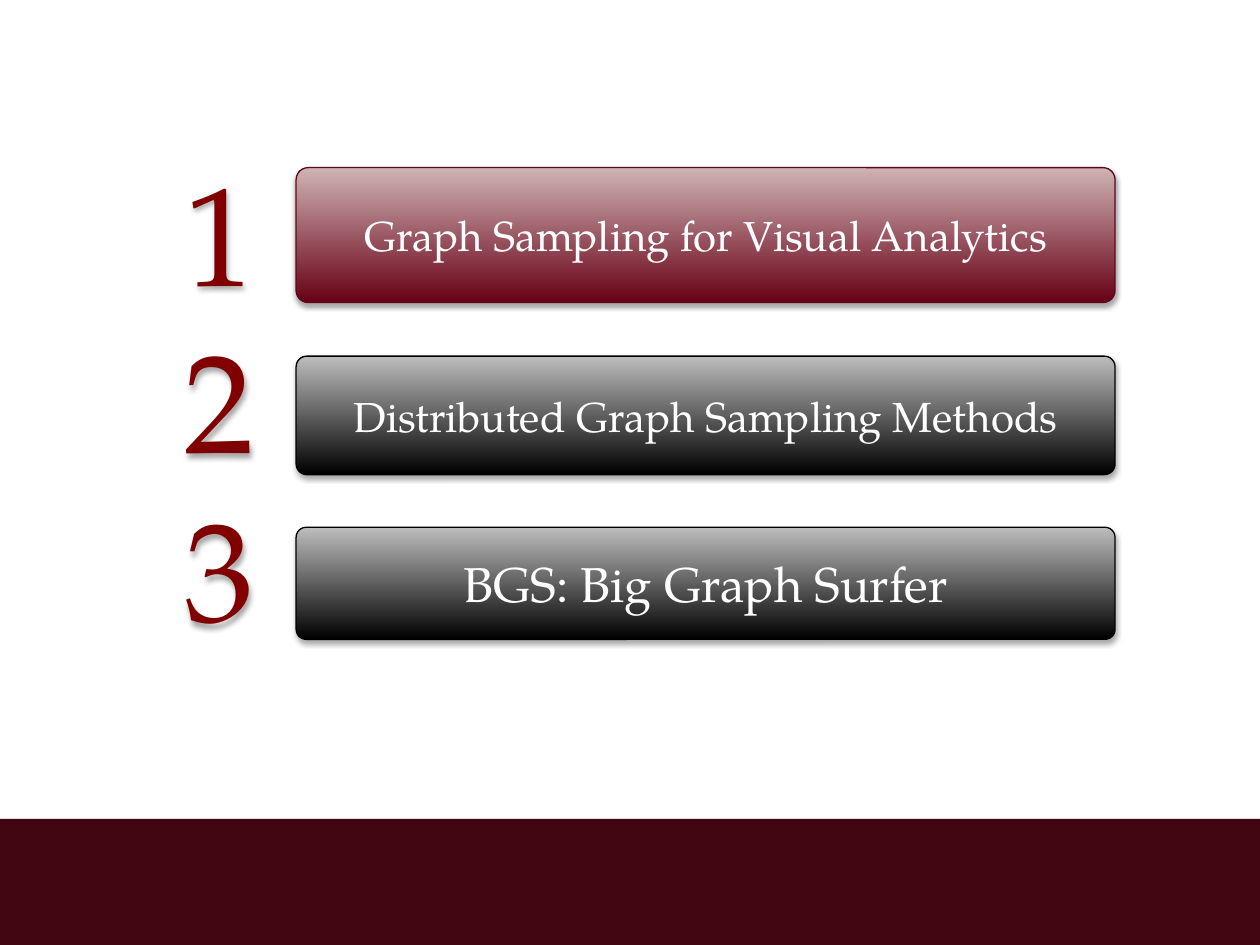
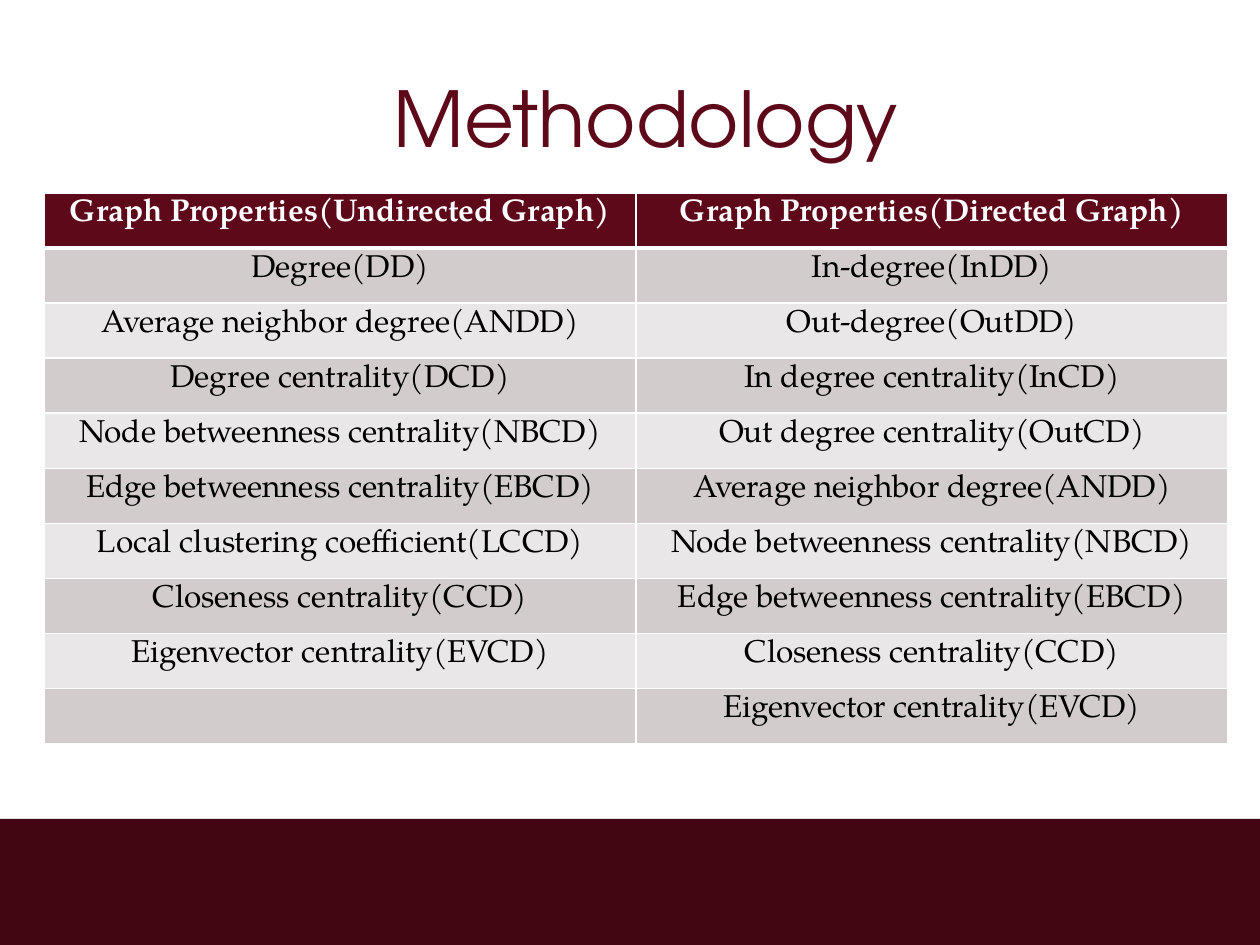
from itertools import zip_longest
from typing import NamedTuple

from lxml import etree
from pptx import Presentation
from pptx import util as u
from pptx.dml.color import RGBColor
from pptx.enum import shapes, text
from pptx.oxml import ns

WHITE = RGBColor(0xFF, 0xFF, 0xFF)
BLACK = RGBColor(0, 0, 0)
BAND = RGBColor(0x41, 0x06, 0x11)
MAROON = RGBColor(0x5E, 0x09, 0x1A)
NUMBER_RED = RGBColor(0x80, 0, 0)
RED_BASE = RGBColor(0x67, 0x00, 0x15)
RED_TOP = RGBColor(0xCF, 0xB3, 0xB4)
RED_EDGE = RGBColor(0x5E, 0x07, 0x18)
GREY_TOP = RGBColor(0xBD, 0xBD, 0xBD)
ROW_FILLS = (RGBColor(0xD2, 0xCC, 0xCD), RGBColor(0xEA, 0xE7, 0xE8))

HEAD_FONT = "TeX Gyre Adventor"
BODY_FONT = "TeX Gyre Pagella"
SLIDE_W, SLIDE_H = u.Cm(25.4), u.Cm(19.05)
BAND_H = u.Cm(2.54)
CENTER = text.PP_ALIGN.CENTER


class Style(NamedTuple):
    base: RGBColor
    top: RGBColor
    edge: RGBColor


class Topic(NamedTuple):
    label: str
    y: float
    height: float
    size: int
    style: Style


ACTIVE = Style(RED_BASE, RED_TOP, RED_EDGE)
INACTIVE = Style(BLACK, GREY_TOP, BLACK)
TOPICS = (
    Topic("Graph Sampling for Visual Analytics", 3.38, 2.72, 24, ACTIVE),
    Topic("Distributed Graph Sampling Methods", 7.18, 2.39, 24, INACTIVE),
    Topic("BGS: Big Graph Surfer", 10.63, 2.26, 28, INACTIVE),
)

UNDIRECTED = (
    "Graph Properties(Undirected Graph)",
    "Degree(DD)",
    "Average neighbor degree(ANDD)",
    "Degree centrality(DCD)",
    "Node betweenness centrality(NBCD)",
    "Edge betweenness centrality(EBCD)",
    "Local clustering coefficient(LCCD)",
    "Closeness centrality(CCD)",
    "Eigenvector centrality(EVCD)",
)
DIRECTED = (
    "Graph Properties(Directed Graph)",
    "In-degree(InDD)",
    "Out-degree(OutDD)",
    "In degree centrality(InCD)",
    "Out degree centrality(OutCD)",
    "Average neighbor degree(ANDD)",
    "Node betweenness centrality(NBCD)",
    "Edge betweenness centrality(EBCD)",
    "Closeness centrality(CCD)",
    "Eigenvector centrality(EVCD)",
)


def add_text(p, content: str, color: RGBColor, align=None, **font) -> None:
    """Put one run in paragraph p; font holds further font attributes."""
    p.alignment = align
    r = p.add_run()
    r.text = content
    for name, value in font.items():
        setattr(r.font, name, value)
    r.font.color.rgb = color


def add_sub(parent, tag: str, **attrs):
    values = {name: str(value) for name, value in attrs.items()}
    return etree.SubElement(parent, ns.qn(tag), values)


def add_shadow(sp) -> None:
    """Give a shape a soft shadow that falls straight down."""
    sp.shadow.inherit = False
    effects = sp._element.spPr.find(ns.qn("a:effectLst"))
    shadow = add_sub(effects, "a:outerShdw", blurRad=u.Pt(3.1), dist=u.Pt(1.8),
                     dir=5400000, rotWithShape=0)
    color = add_sub(shadow, "a:srgbClr", val=BLACK)
    add_sub(color, "a:alpha", val=35000)


def set_borders(cell, bottom: float) -> None:
    """Draw white cell borders; the fill must be set afterwards."""
    tc_pr = cell._tc.get_or_add_tcPr()
    for side, width in {"L": 1, "R": 1, "T": 1, "B": bottom}.items():
        ln = add_sub(tc_pr, f"a:ln{side}", w=u.Pt(width))
        add_sub(add_sub(ln, "a:solidFill"), "a:srgbClr", val=WHITE)


def add_slide(prs):
    """Add a blank slide with the band along its foot."""
    s = prs.slides.add_slide(prs.slide_layouts[6])
    sp = s.shapes.add_shape(shapes.MSO_SHAPE.RECTANGLE, 0, SLIDE_H - BAND_H,
                            SLIDE_W, BAND_H)
    sp.shadow.inherit = False
    sp.fill.solid()
    sp.fill.fore_color.rgb = BAND
    sp.line.fill.background()
    return s


def add_title(s, title: str) -> None:
    sp = s.shapes.add_textbox(u.Cm(1.91), u.Cm(0.76), u.Cm(22.23), u.Cm(3.18))
    tf = sp.text_frame
    tf.word_wrap = True
    tf.vertical_anchor = text.MSO_ANCHOR.MIDDLE
    add_text(tf.paragraphs[0], title, MAROON, CENTER, name=HEAD_FONT, size=u.Pt(44))


def add_numbers(s, count: int) -> None:
    sp = s.shapes.add_textbox(u.Cm(3.48), u.Cm(2.82), u.Cm(2.08), u.Cm(10.44))
    add_shadow(sp)
    tf = sp.text_frame
    tf.word_wrap = True
    for i in range(count):
        p = tf.add_paragraph() if i else tf.paragraphs[0]
        add_text(p, str(i + 1), NUMBER_RED, name=BODY_FONT, size=u.Pt(80))


def add_topic(s, topic: Topic) -> None:
    sp = s.shapes.add_shape(shapes.MSO_SHAPE.ROUNDED_RECTANGLE, u.Cm(5.97),
                            u.Cm(topic.y), u.Cm(16.51), u.Cm(topic.height))
    sp.adjustments[0] = 0.09
    sp.fill.gradient()
    sp.fill.gradient_angle = 90
    for stop, color in zip(sp.fill.gradient_stops, topic.style):
        stop.color.rgb = color
    sp.line.color.rgb = topic.style.edge
    sp.line.width = u.Pt(0.75)
    add_shadow(sp)
    tf = sp.text_frame
    tf.word_wrap = True
    tf.vertical_anchor = text.MSO_ANCHOR.MIDDLE
    add_text(tf.paragraphs[0], topic.label, WHITE, CENTER,
             name=BODY_FONT, size=u.Pt(topic.size))


def add_properties(s) -> None:
    """Add the table of graph properties, one column per graph type."""
    rows = list(zip_longest(UNDIRECTED, DIRECTED, fillvalue=""))
    table = s.shapes.add_table(len(rows), 2, u.Cm(0.89), u.Cm(3.89), u.Cm(23.86),
                               u.Cm(1.11) * len(rows)).table
    for i, row in enumerate(rows):
        header = i == 0
        for j, label in enumerate(row):
            cell = table.cell(i, j)
            set_borders(cell, bottom=3 if header else 1)
            cell.fill.solid()
            cell.fill.fore_color.rgb = MAROON if header else ROW_FILLS[(i - 1) % 2]
            p = cell.text_frame.paragraphs[0]
            if label:
                add_text(p, label, WHITE if header else BLACK, CENTER,
                         name=BODY_FONT, size=u.Pt(18), bold=header)


def main() -> None:
    prs = Presentation()
    prs.slide_width, prs.slide_height = SLIDE_W, SLIDE_H

    s = add_slide(prs)
    add_numbers(s, len(TOPICS))
    for topic in TOPICS:
        add_topic(s, topic)

    s = add_slide(prs)
    add_title(s, "Methodology")
    add_properties(s)

    prs.save("out.pptx")


if __name__ == "__main__":
    main()
